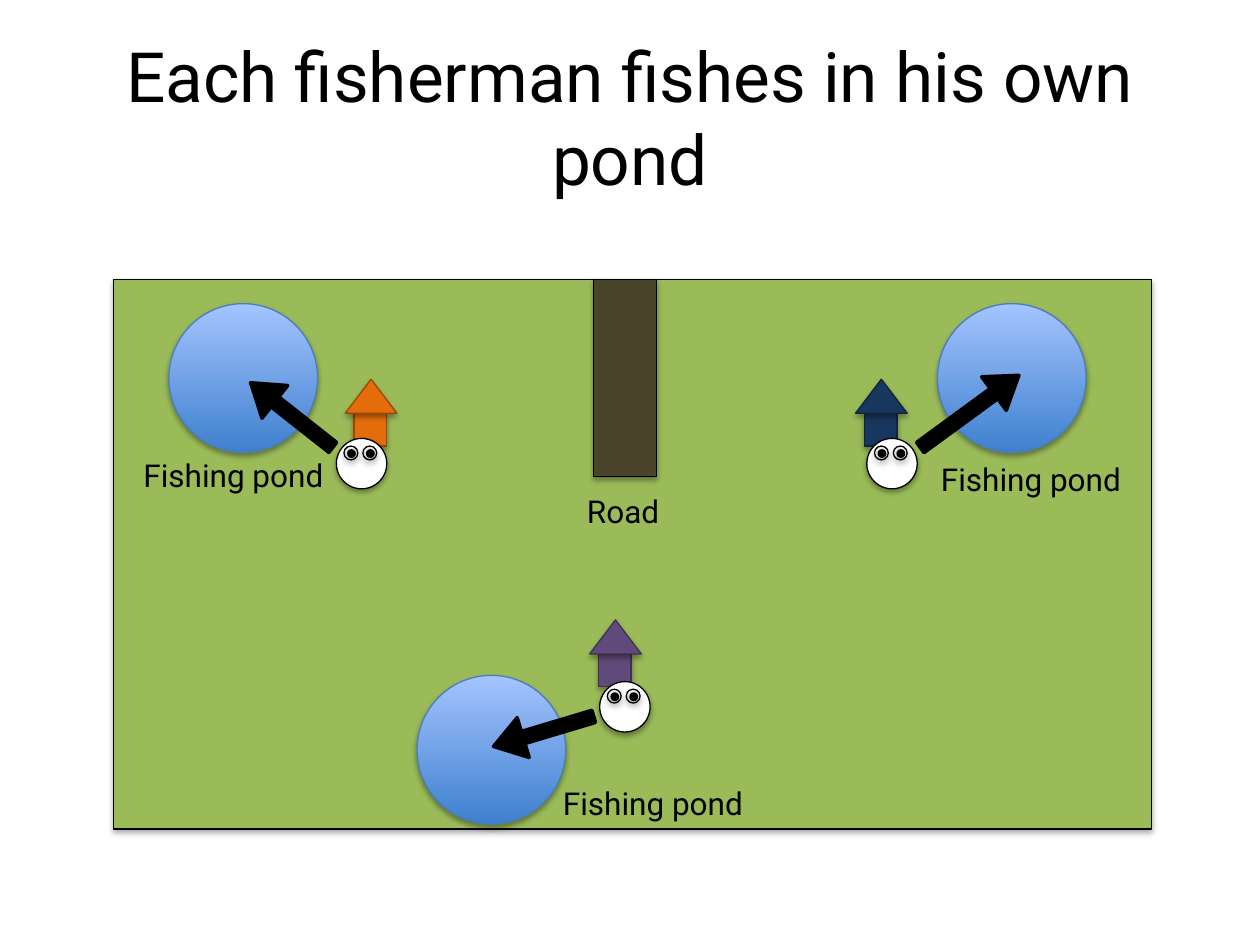
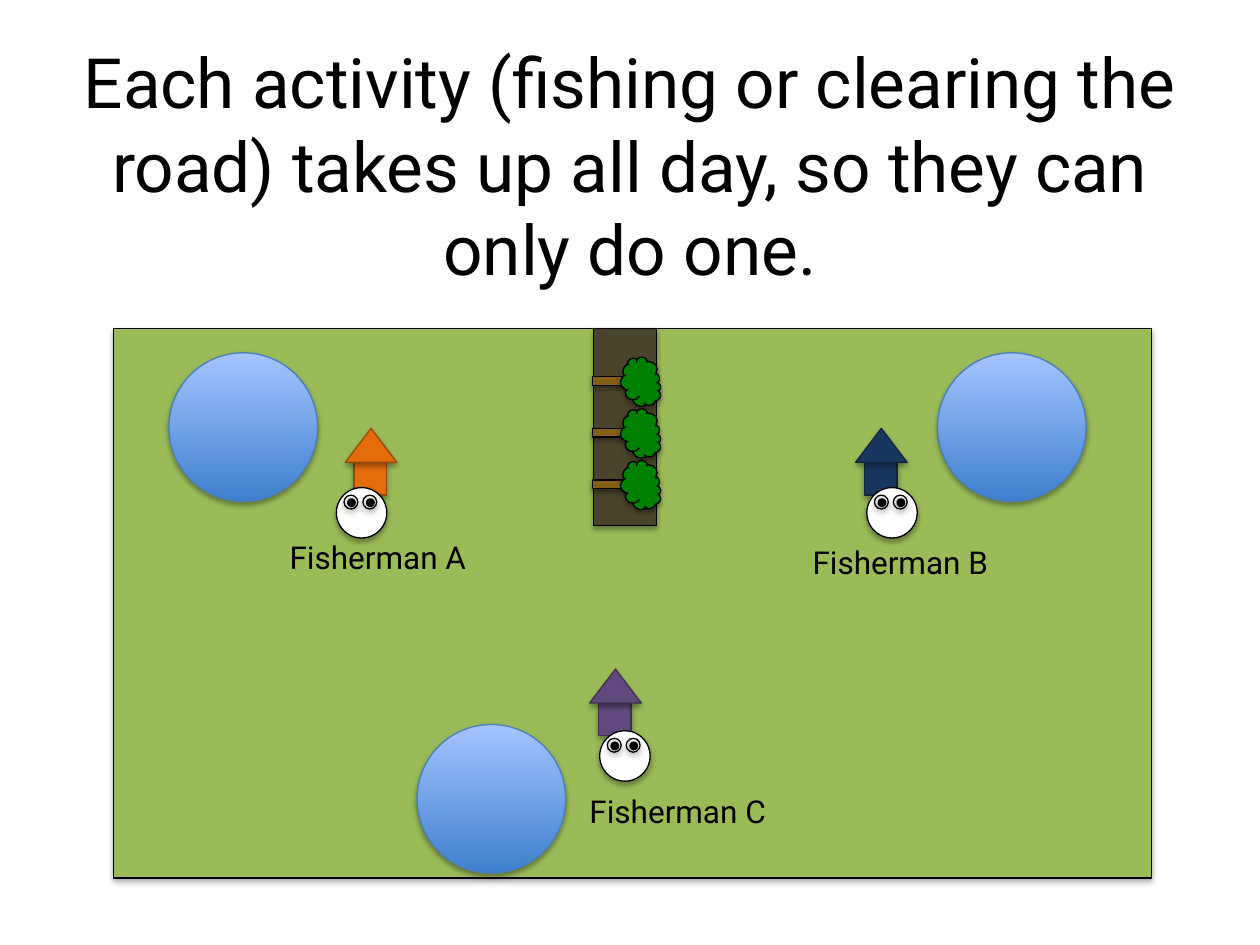
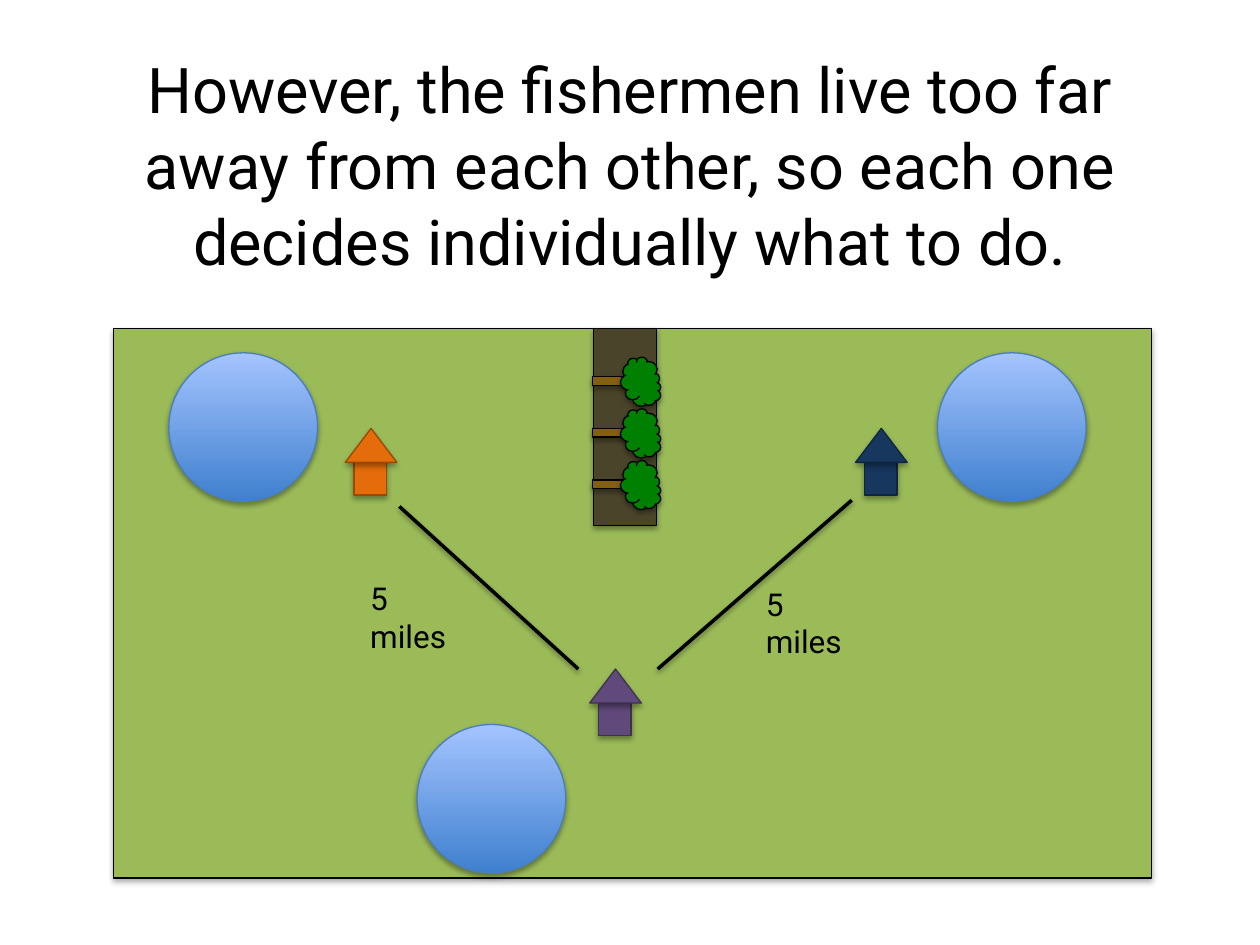
"""Three slides about fishermen, their ponds and a shared road."""
from dataclasses import dataclass

from lxml import etree
from pptx import Presentation
from pptx import util as u
from pptx.dml.color import RGBColor
from pptx.enum import shapes as kinds, text as txt
from pptx.oxml.ns import qn


@dataclass(frozen=True)
class Theme:
    """Colours, font and sizes shared by all slides."""
    font: str = "Roboto"
    title: float = 39.6
    small_title: float = 36
    label: float = 18
    thin: float = 0.75
    thick: float = 2
    ink: str = "000000"
    white: str = "FFFFFF"
    grass: str = "9BBB59"
    road: str = "4A452A"
    water: tuple = ("3F80CE", "A4C4FF")
    shore: str = "4B7EBC"
    trunk: str = "835E13"
    leaves: str = "008000"


THEME = Theme()
SHAPE = kinds.MSO_SHAPE

# Places are measured from the left of the slide and the top of the map.
MAP_LEFT, MAP_WIDTH, MAP_HEIGHT = 0.9, 8.24, 4.36
HOUSES = [  # left, top of the walls, fill, line
    (2.81, 1.06, "E46C0A", "984807"),
    (4.75, 2.97, "604A7B", "403152"),
    (6.86, 1.06, "17375E", "0F243E"),
]
PONDS = [(1.34, 0.19), (3.31, 3.14), (7.44, 0.19)]
FISHERMEN = [(2.67, 1.26), (6.88, 1.26), (4.76, 3.19)]


def set_format(target, values):
    """Set attributes of an object from a dict."""
    for name, value in values.items():
        setattr(target, name, value)


def add_shadow(spPr, alpha=35, distance=1.8):
    """Put a soft downward shadow into the effect list of a shape."""
    effects = spPr.find(qn("a:effectLst"))
    if effects is None:
        effects = etree.SubElement(spPr, qn("a:effectLst"))
    shadow = etree.SubElement(
        effects, qn("a:outerShdw"), blurRad=str(u.Pt(3.1)),
        dist=str(u.Pt(distance)), dir="5400000", rotWithShape="0")
    colour = etree.SubElement(shadow, qn("a:srgbClr"), val=THEME.ink)
    etree.SubElement(colour, qn("a:alpha"), val=str(alpha * 1000))


def paint_line(line, colour, width):
    """Give an outline its colour and width."""
    line.color.rgb = RGBColor.from_string(colour)
    line.width = u.Pt(width)


def add_figure(parent, kind, place, fill, line=THEME.ink, width=THEME.thin,
               rotation=0, shadow=True):
    """Add a preset shape; fill is a colour, a pair for a gradient, or None."""
    figure = parent.add_shape(kind, *map(u.Inches, place))
    figure.rotation = rotation
    if fill is None:
        figure.fill.background()
    elif isinstance(fill, tuple):
        figure.fill.gradient()
        figure.fill.gradient_angle = 90
        for stop, colour in zip(figure.fill.gradient_stops, fill):
            stop.color.rgb = RGBColor.from_string(colour)
    else:
        figure.fill.solid()
        figure.fill.fore_color.rgb = RGBColor.from_string(fill)
    paint_line(figure.line, line, width)
    figure.shadow.inherit = False
    if shadow:
        add_shadow(figure._element.spPr)
    return figure


def write(frame, words, size, align):
    """Write one formatted paragraph into a text frame."""
    para = frame.paragraphs[0]
    para.alignment = align
    span = para.add_run()
    span.text = words
    set_format(span.font, {"name": THEME.font, "size": u.Pt(size)})
    span.font.color.rgb = RGBColor.from_string(THEME.ink)


def add_label(parent, words, place, wrap=False):
    """Add a small text box on the map."""
    box = parent.add_textbox(*map(u.Inches, place))
    set_format(box.text_frame, {
        "word_wrap": wrap,
        "auto_size": txt.MSO_AUTO_SIZE.SHAPE_TO_FIT_TEXT})
    write(box.text_frame, words, THEME.label, txt.PP_ALIGN.LEFT)


def add_titled_slide(deck, words, place, size=THEME.title):
    """Add a title-only slide and return its shapes."""
    page = deck.slides.add_slide(deck.slide_layouts[5])
    title = page.shapes.title
    set_format(title, dict(zip(("left", "top", "width", "height"),
                               map(u.Inches, place))))
    set_format(title.text_frame, {
        "word_wrap": True,
        "auto_size": txt.MSO_AUTO_SIZE.NONE,
        "vertical_anchor": txt.MSO_ANCHOR.MIDDLE})
    write(title.text_frame, words, size, txt.PP_ALIGN.CENTER)
    return page.shapes


def add_house(parent, left, top, fill, line):
    """Add square walls with a triangular roof."""
    add_figure(parent, SHAPE.RECTANGLE, (left, top, 0.26, 0.26), fill, line)
    add_figure(parent, SHAPE.ISOSCELES_TRIANGLE,
               (left - 0.07, top - 0.27, 0.41, 0.27), fill, line)


def add_map(parent, top):
    """Add the meadow with its houses, ponds and road."""
    add_figure(parent, SHAPE.RECTANGLE,
               (MAP_LEFT, top, MAP_WIDTH, MAP_HEIGHT), THEME.grass)
    for left, down, fill, line in HOUSES:
        add_house(parent, left, top + down, fill, line)
    for left, down in PONDS:
        add_figure(parent, SHAPE.OVAL, (left, top + down, 1.18, 1.18),
                   THEME.water, THEME.shore)
    add_figure(parent, SHAPE.RECTANGLE, (4.71, top, 0.5, 1.56), THEME.road)


def add_fishermen(parent, top):
    """Add a grouped face for each fisherman."""
    for left, down in FISHERMEN:
        face = parent.add_group_shape().shapes
        parts = [(0, 0, 0.4, THEME.white),
                 (0.06, 0.06, 0.11, None), (0.21, 0.06, 0.11, None),
                 (0.09, 0.09, 0.06, THEME.ink), (0.24, 0.09, 0.06, THEME.ink)]
        for dx, dy, size, fill in parts:
            add_figure(face, SHAPE.OVAL,
                       (left + dx, top + down + dy, size, size), fill)


def add_trees(parent, top):
    """Add three fallen trees at equal steps along the road."""
    for row in range(3):
        tree = parent.add_group_shape().shapes
        down = top + 0.23 + 0.41 * row
        add_figure(tree, SHAPE.RECTANGLE, (4.85, down, 0.07, 0.37),
                   THEME.trunk, rotation=90)
        add_figure(tree, SHAPE.CLOUD, (4.89, down + 0.03, 0.39, 0.32),
                   THEME.leaves, rotation=90)


def add_arrow(parent, place, rotation):
    """Add a thick black arrow from a fisherman to his pond."""
    arrow = add_figure(parent, SHAPE.LEFT_ARROW, place, THEME.ink,
                       width=THEME.thick, rotation=rotation, shadow=False)
    arrow.adjustments[0] = 0.305
    arrow.adjustments[1] = 0.744


def add_distance(parent, start, end):
    """Add a straight line between two houses."""
    line = parent.add_connector(kinds.MSO_CONNECTOR.STRAIGHT,
                                *map(u.Inches, start + end))
    paint_line(line.line, THEME.ink, THEME.thick)
    add_shadow(line._element.spPr, alpha=38, distance=1.6)


def build_ponds(deck):
    """Build the slide on who fishes where."""
    top = 2.22
    parent = add_titled_slide(deck, "Each fisherman fishes in his own pond",
                              (0.87, 0.3, 8.26, 1.25))
    add_map(parent, top)
    add_fishermen(parent, top)
    for left, down, width, rotation in [(1.9, 0.91, 0.83, 38.2),
                                        (3.9, 3.42, 0.83, 343.3),
                                        (7.21, 0.88, 0.97, 143.8)]:
        add_arrow(parent, (left, top + down, width, 0.33), rotation)
    for words, left, down, width in [("Fishing pond", 1.04, 1.35, 1.67),
                                     ("Fishing pond", 7.37, 1.38, 1.67),
                                     ("Road", 4.56, 1.64, 0.81),
                                     ("Fishing pond", 4.37, 3.95, 1.67)]:
        add_label(parent, words, (left, top + down, width, 0.4))


def build_activities(deck):
    """Build the slide on the choice of activity."""
    top = 2.61
    parent = add_titled_slide(
        deck, "Each activity (fishing or clearing the road) takes up all day, "
        "so they can only do one.", (0.5, 0.68, 9, 1.25))
    add_map(parent, top)
    add_fishermen(parent, top)
    add_trees(parent, top)
    for letter, left, down in [("A", 2.2, 1.61), ("B", 6.35, 1.65),
                               ("C", 4.58, 3.63)]:
        add_label(parent, f"Fisherman {letter}", (left, top + down, 1.62, 0.4))


def build_distances(deck):
    """Build the slide on the distance between the houses."""
    top = 2.61
    parent = add_titled_slide(
        deck, "However, the fishermen live too far away from each other, "
        "so each one decides individually what to do.",
        (0.5, 0.68, 9, 1.25), THEME.small_title)
    add_map(parent, top)
    add_trees(parent, top)
    add_distance(parent, (3.17, top + 1.41), (4.59, top + 2.7))
    add_distance(parent, (6.76, top + 1.36), (5.22, top + 2.7))
    for left, down in [(5.98, 1.98), (2.84, 1.94)]:
        add_label(parent, "5 miles", (left, top + down, 1, 0.4), wrap=True)


def main():
    """Build and save the deck."""
    deck = Presentation()
    set_format(deck, {"slide_width": u.Inches(10),
                      "slide_height": u.Inches(7.5)})
    build_ponds(deck)
    build_activities(deck)
    build_distances(deck)
    deck.save("out.pptx")


main()
